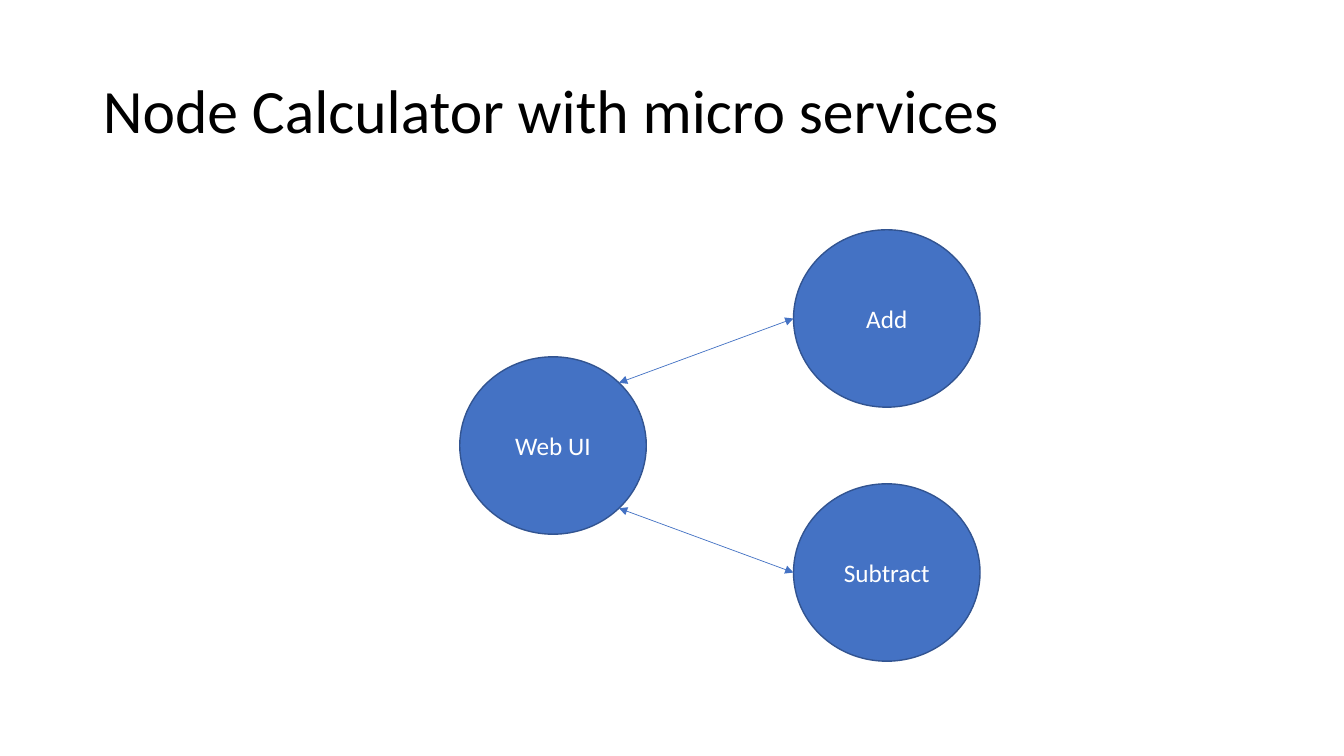
"""Build the slide showing a node calculator split into micro services."""
import math

import pptx
import pptx.util
from lxml import etree
from pptx.dml.color import RGBColor
from pptx.enum.shapes import MSO_CONNECTOR, MSO_SHAPE
from pptx.enum.text import MSO_ANCHOR, PP_ALIGN
from pptx.oxml.ns import qn
from pptx.util import Inches

HEADING = "Node Calculator with micro services"
WEB_UI = ("Web UI", 4.56, 3.54)
SERVICES = [("Add", 7.87, 2.28), ("Subtract", 7.87, 4.8)]
NODE_WIDTH, NODE_HEIGHT = 1.85, 1.76

FONT = "Calibri"
BLACK = RGBColor(0x00, 0x00, 0x00)
WHITE = RGBColor(0xFF, 0xFF, 0xFF)
BLUE = RGBColor(0x44, 0x72, 0xC4)
DARK_BLUE = RGBColor(0x32, 0x54, 0x91)


def style_label(frame, size, color, alignment):
    """Format the single paragraph of a text frame."""
    frame.word_wrap = True
    frame.vertical_anchor = MSO_ANCHOR.MIDDLE
    label = frame.paragraphs[0]
    label.alignment = alignment
    font = label.runs[0].font
    font.name = FONT
    font.size = pptx.util.Pt(size)
    font.color.rgb = color


def add_node(slide, name, left, top):
    """Draw one labelled service circle."""
    node = slide.shapes.add_shape(
        MSO_SHAPE.OVAL, Inches(left), Inches(top),
        Inches(NODE_WIDTH), Inches(NODE_HEIGHT))
    node.shadow.inherit = False
    node.fill.solid()
    node.fill.fore_color.rgb = BLUE
    node.line.color.rgb = DARK_BLUE
    node.line.width = pptx.util.Pt(1)
    node.text_frame.text = name
    style_label(node.text_frame, 18, WHITE, PP_ALIGN.CENTER)


def rim_point(left, top, degrees):
    """Return the point on a node's rim at a clockwise angle from the right."""
    angle = math.radians(degrees)
    return (left + NODE_WIDTH / 2 * (1 + math.cos(angle)),
            top + NODE_HEIGHT / 2 * (1 + math.sin(angle)))


def add_link(slide, start, end):
    """Draw a two-headed arrow between two points."""
    link = slide.shapes.add_connector(
        MSO_CONNECTOR.STRAIGHT, *map(Inches, start + end))
    link.line.color.rgb = BLUE
    link.line.width = pptx.util.Pt(0.5)
    outline = link.line._get_or_add_ln()
    for arrowhead in ("a:headEnd", "a:tailEnd"):
        etree.SubElement(outline, qn(arrowhead), type="triangle")
    etree.SubElement(link._element.spPr, qn("a:effectLst"))


def main():
    """Assemble and save the slide."""
    deck = pptx.Presentation()
    deck.slide_width, deck.slide_height = Inches(13.33), Inches(7.5)
    slide = deck.slides.add_slide(deck.slide_layouts[5])

    heading = slide.shapes.title
    heading.left, heading.top = Inches(0.92), Inches(0.4)
    heading.width, heading.height = Inches(11.5), Inches(1.45)
    heading.text_frame.text = HEADING
    style_label(heading.text_frame, 44, BLACK, PP_ALIGN.LEFT)
    heading.text_frame.paragraphs[0].line_spacing = 0.9

    for node in [*SERVICES, WEB_UI]:
        add_node(slide, *node)

    _, ui_left, ui_top = WEB_UI
    for _, left, top in SERVICES:
        degrees = -45 if top < ui_top else 45
        add_link(slide, rim_point(ui_left, ui_top, degrees),
                 rim_point(left, top, 180))

    deck.save("out.pptx")


if __name__ == "__main__":
    main()
